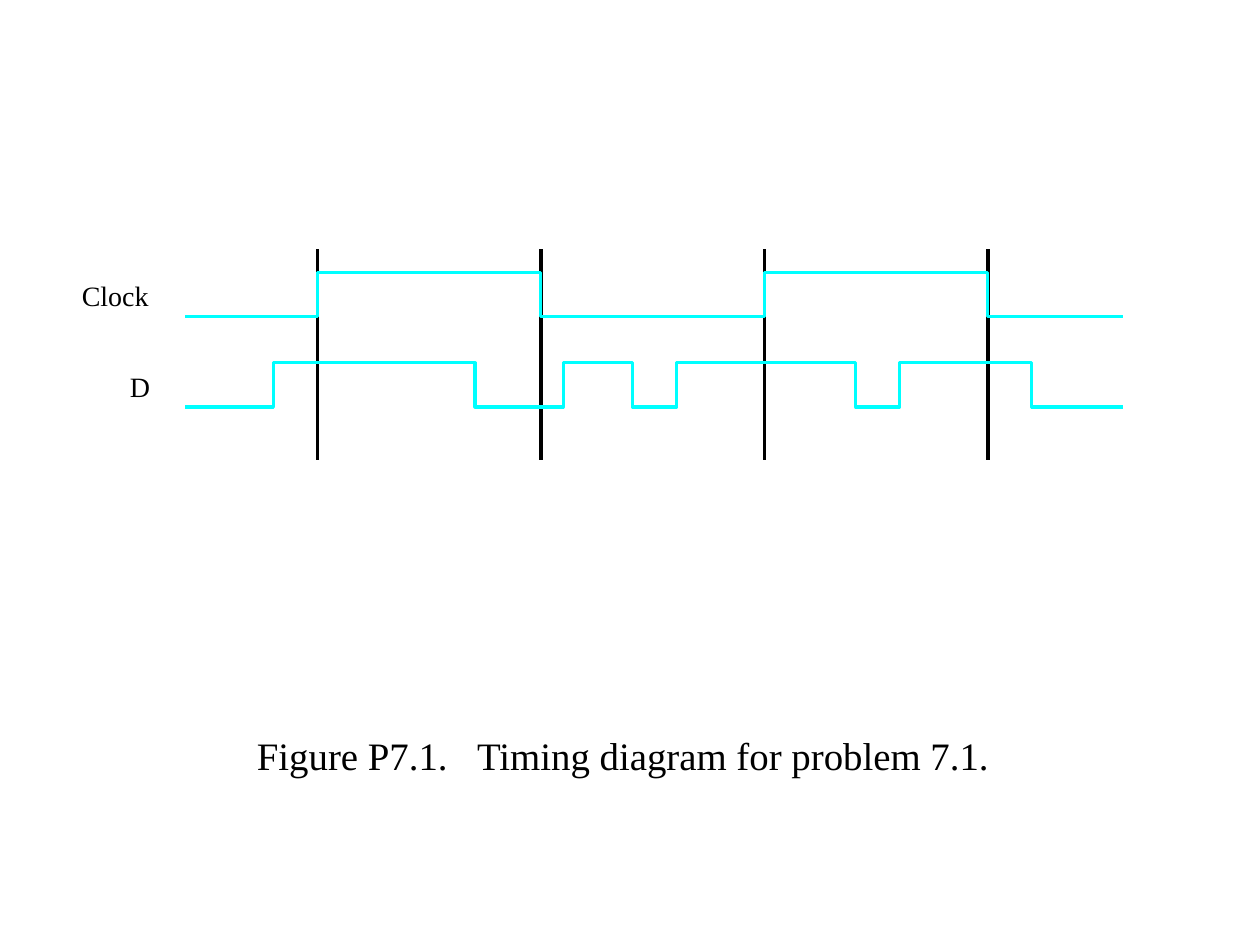
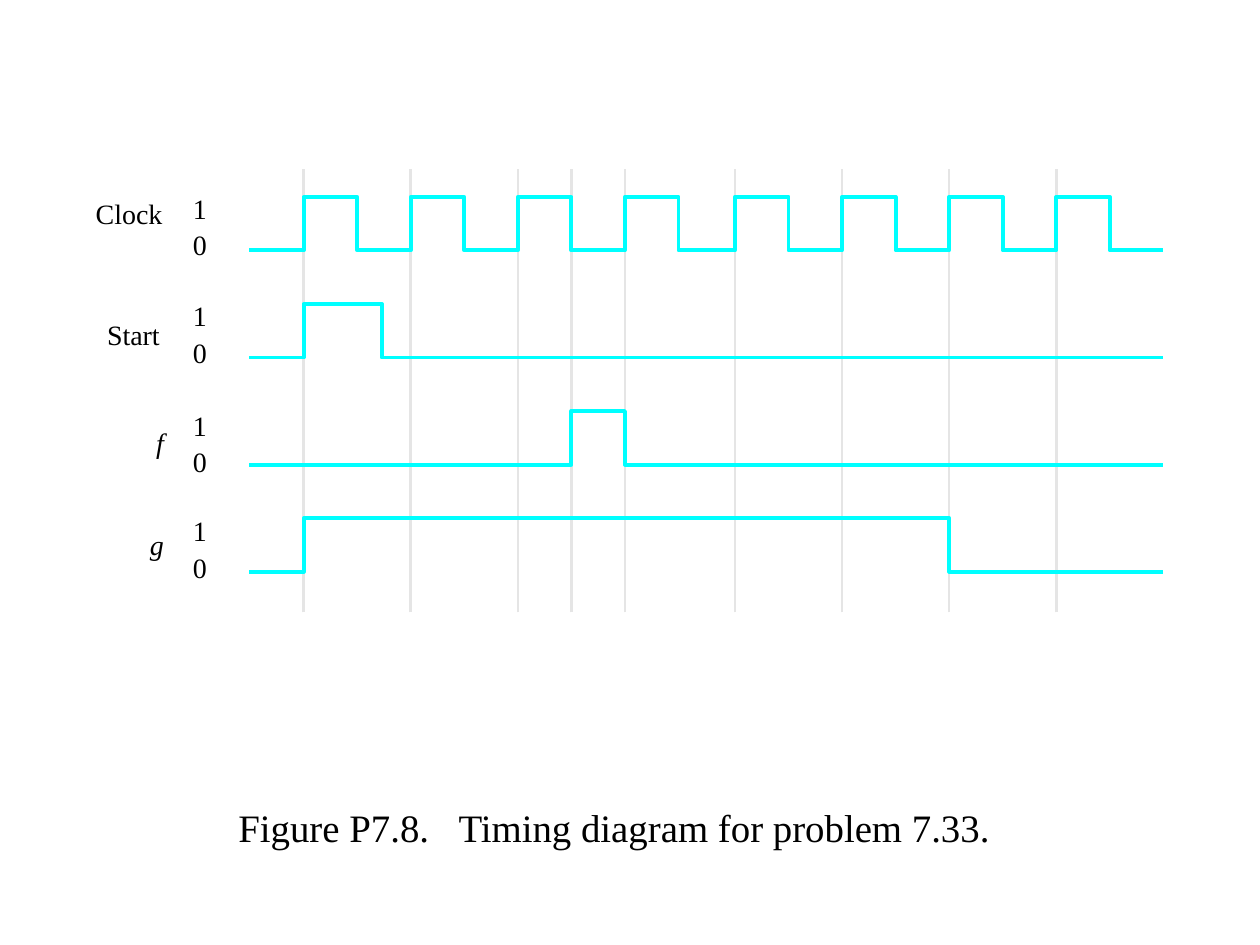
"""Build two slides of timing diagrams for flip-flop problems."""
from dataclasses import dataclass

from lxml import etree
from pptx import Presentation
from pptx.dml.color import RGBColor
from pptx.enum.shapes import MSO_CONNECTOR
from pptx.enum.text import MSO_AUTO_SIZE, PP_ALIGN
from pptx.oxml.ns import qn
from pptx.util import Pt

STRAIGHT = MSO_CONNECTOR.STRAIGHT
GROW = MSO_AUTO_SIZE.SHAPE_TO_FIT_TEXT
LEFT, CENTER = PP_ALIGN.LEFT, PP_ALIGN.CENTER


@dataclass(frozen=True)
class Theme:
    font: str = "Times New Roman"
    ink: RGBColor = RGBColor(0x00, 0x00, 0x00)
    signal: RGBColor = RGBColor(0x00, 0xFF, 0xFF)
    pale: RGBColor = RGBColor(0xE5, 0xE5, 0xE5)
    caption_size: float = 22.2
    label_size: float = 16
    caption_gap: int = 1110


THEME = Theme()


def add_text(page, frame, spans, size, align=LEFT, italic=False):
    box = page.shapes.add_textbox(*[Pt(value) for value in frame])
    text = box.text_frame
    if align == CENTER:
        text.word_wrap = True
    else:
        text.margin_left = text.margin_right = text.margin_top = text.margin_bottom = 0
        text.word_wrap = False
        text.auto_size = GROW
    para = text.paragraphs[0]
    para.alignment = align
    para.font.name, para.font.size = THEME.font, Pt(size)
    para.font.color.rgb, para.font.italic = THEME.ink, italic
    for words in spans:
        span = para.add_run()
        span.text = words
        if words == " ":
            span.font.size = Pt(size)
            span._r.get_or_add_rPr().set("spc", str(THEME.caption_gap))


def add_wave(page, start, end, top, height, edges, width):
    low, high = top + height, top
    points, level = [(start, low)], low
    for edge in edges:
        points.append((edge, level))
        level = high if level == low else low
        points.append((edge, level))
    points.append((end, level))
    corners = [(Pt(x), Pt(y)) for x, y in points]
    outline = page.shapes.build_freeform(*corners[0], scale=1.0)
    outline.add_line_segments(corners[1:], close=False)
    wave = outline.convert_to_shape()
    wave.shadow.inherit = False
    wave.fill.background()
    wave.line.color.rgb, wave.line.width = THEME.signal, Pt(width)


clock_edges = [181.44 + 127.68 * step for step in range(4)]
data_edges = [156.24, 271.44, 321.84, 361.44, 386.64, 488.88, 514.08, 589.68]

half = 30.6
rises = [start + 2 * half * step for start in (173.52, 420) for step in range(4)]
pulse = rises[2] + half
pulses = [edge for rise in rises for edge in (rise, rise + half)]

diagrams = [
    {
        "caption": ("Figure P7.1.", "Timing diagram for problem 7.1."),
        "caption_at": (64.8, 414.72),
        "grid": clock_edges, "grid_span": (142.56, 262.8),
        "grid_color": THEME.ink, "grid_width": 0,
        "span": (105.84, 641.52), "top": 155.52, "pitch": 51.84,
        "height": 25.2, "wave_width": 1.75,
        "signals": [
            ("Clock", (46.8, 159.12, 43.92), False, clock_edges),
            ("D", (74.16, 210.96, 15.84), False, data_edges),
        ],
        "one_tops": [],
    },
    {
        "caption": ("Figure P7.8.", "Timing diagram for problem 7.33."),
        "caption_at": (59.76, 455.76),
        "grid": rises + [pulse], "grid_span": (96.48, 349.92),
        "grid_color": THEME.pale, "grid_width": 1.5,
        "span": (142.56, 664.56), "top": 112.5, "pitch": 61.2,
        "height": half, "wave_width": 2.25,
        "signals": [
            ("Clock", (54.72, 112.32, 43.92), False, pulses),
            ("Start", (61.2, 181.44, 40.32), False, [rises[0], 218.16]),
            ("f", (89.28, 243.36, 9.36), True, [pulse, rises[3]]),
            ("g", (85.68, 301.68, 13.68), True, [rises[0], rises[6]]),
        ],
        "one_tops": [109.44, 170.64, 233.28, 293.76],
    },
]

deck = Presentation()
deck.slide_width, deck.slide_height = Pt(720), Pt(540)
blank = deck.slide_layouts[6]

for diagram in diagrams:
    page = deck.slides.add_slide(blank)
    figure, title = diagram["caption"]
    add_text(page, (*diagram["caption_at"], 582.48, 36), (figure, " ", title),
             THEME.caption_size, CENTER)

    top, bottom = diagram["grid_span"]
    for x in diagram["grid"]:
        rule = page.shapes.add_connector(STRAIGHT, Pt(x), Pt(bottom), Pt(x), Pt(top))
        rule.line.color.rgb = diagram["grid_color"]
        rule.line.width = Pt(diagram["grid_width"])
        etree.SubElement(rule._element.spPr, qn("a:effectLst"))

    for row, (name, (x, y, width), italic, edges) in enumerate(diagram["signals"]):
        add_text(page, (x, y, width, 19.44), (name,), THEME.label_size, italic=italic)
        add_wave(page, *diagram["span"], diagram["top"] + row * diagram["pitch"],
                 diagram["height"], edges, diagram["wave_width"])

    for one_top in diagram["one_tops"]:
        for digit, y in (("1", one_top), ("0", one_top + 20.88)):
            add_text(page, (110.16, y, 13.68, 19.44), (digit,), THEME.label_size)

deck.save("out.pptx")
